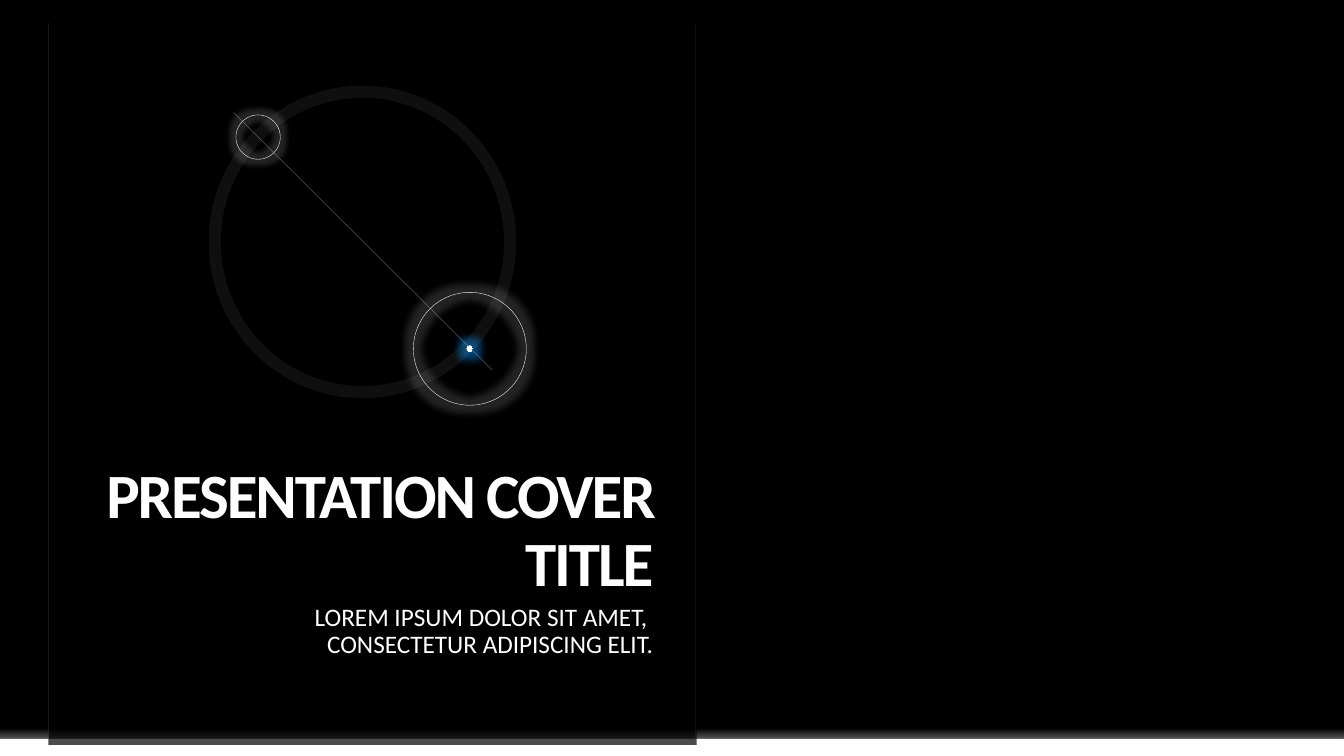
from lxml import etree
from pptx import Presentation
from pptx.dml.color import RGBColor
from pptx.enum import shapes, text
from pptx.oxml.ns import qn
from pptx.util import Inches, Pt

COLORS = {"black": "000000", "white": "FFFFFF", "edge": "F2F2F2", "axis": "E7E6E6",
          "ice": "F7FFFF", "pale_blue": "C1E4FF", "blue": "0078D0"}


def add_element(parent, tag, **attributes):
    return etree.SubElement(parent, qn(tag), {name: str(value) for name, value in attributes.items()})


def add_color(parent, color, alpha=100):
    element = add_element(parent, "a:srgbClr", val=COLORS[color])
    if alpha < 100:
        add_element(element, "a:alpha", val=alpha * 1000)


def paint(fill, color, alpha=100):
    """Give a fill one colour at an opacity in percent."""
    fill.solid()
    fill.fore_color.rgb = RGBColor.from_string(COLORS[color])
    if alpha < 100:
        add_element(fill._xPr.find(f"{qn('a:solidFill')}/{qn('a:srgbClr')}"), "a:alpha", val=alpha * 1000)


def paint_gradient(shape, stops, radial=False):
    """Fill with (position, colour, opacity) stops, downwards or from the centre."""
    shape.fill.gradient()
    gradient = shape._element.spPr.find(qn("a:gradFill"))
    for child in list(gradient):
        gradient.remove(child)
    stop_list = add_element(gradient, "a:gsLst")
    for position, color, alpha in stops:
        add_color(add_element(stop_list, "a:gs", pos=position * 1000), color, alpha)
    if radial:
        center = add_element(gradient, "a:path", path="circle")
        add_element(center, "a:fillToRect", l=50000, t=50000, r=50000, b=50000)
    else:
        add_element(gradient, "a:lin", ang=90 * 60000, scaled=0)


def add_plain_shape(container, kind, left, top, width, height):
    shape = container.shapes.add_shape(kind, *map(Inches, (left, top, width, height)))
    shape.shadow.inherit = False
    shape.fill.background()
    shape.line.fill.background()
    return shape


def add_band(slide, left, top, width, height, color="white", alpha=100):
    band = add_plain_shape(slide, shapes.MSO_SHAPE.RECTANGLE, left, top, width, height)
    paint(band.fill, color, alpha)
    return band


def add_circle(container, left, top, width, height):
    return add_plain_shape(container, shapes.MSO_SHAPE.OVAL, left, top, width, height)


def add_ring(container, left, top, width, height, weight=0.25, alpha=100):
    ring = add_circle(container, left, top, width, height)
    paint(ring.line.fill, "white", alpha)
    ring.line.width = Pt(weight)
    return ring


def add_glow(shape, color, radius, alpha):
    effects = shape._element.spPr.find(qn("a:effectLst"))
    add_color(add_element(effects, "a:glow", rad=Pt(radius)), color, alpha)


def add_line(container, start, end, color, weight, alpha):
    line = container.shapes.add_connector(shapes.MSO_CONNECTOR.STRAIGHT, *map(Inches, start + end))
    paint(line.line.fill, color, alpha)
    line.line.width = Pt(weight)
    add_element(line._element.spPr, "a:effectLst")


def add_backdrop(slide):
    add_band(slide, 0, 7.33, 13.33, 0.17)
    horizon = add_band(slide, 0, 7.16, 13.33, 0.17)
    paint_gradient(horizon, [(40, "white", 0), (100, "white", 35)])
    add_band(slide, 0.48, 4.26, 6.43, 3.13, "black", 70)
    add_band(slide, 0.48, 0.23, 6.43, 4.04, "black", 94)
    for x in (6.9, 0.48):
        add_line(slide, (x, 0.23), (x, 7.33), "edge", 0.25, 15)


def fill_placeholder(slide, placeholder, box, content, anchor, font_values, spacing=0):
    """Place and format a placeholder, in front of the shapes added so far."""
    slide.shapes._spTree.append(placeholder._element)
    for name, value in zip(("left", "top", "width", "height"), box):
        setattr(placeholder, name, Inches(value))
    frame = placeholder.text_frame
    frame.text = content
    frame_values = {"margin_left": 0, "margin_top": 0, "margin_right": 0, "margin_bottom": 0,
                    "word_wrap": True, "auto_size": text.MSO_AUTO_SIZE.NONE, "vertical_anchor": anchor}
    for name, value in frame_values.items():
        setattr(frame, name, value)
    paragraph = frame.paragraphs[0]
    paragraph_values = {"alignment": text.PP_ALIGN.RIGHT, "line_spacing": 0.9, "space_before": Pt(0)}
    for name, value in paragraph_values.items():
        setattr(paragraph, name, value)
    for run in paragraph.runs:
        run.font.color.rgb = RGBColor.from_string(COLORS["white"])
        for name, value in {"name": "Calibri", **font_values}.items():
            setattr(run.font, name, value)
        if spacing:
            run._r.get_or_add_rPr().set("spc", str(int(spacing * 100)))


def add_orbit(slide):
    moon = add_ring(slide, 2.34, 1.14, 0.44, 0.44)
    add_glow(moon, "white", 8, 14)

    planet = slide.shapes.add_group_shape()
    halo = add_ring(planet, 4.1, 2.9, 1.12, 1.12)
    add_glow(halo, "white", 11, 14)
    core = add_circle(planet, 4.63, 3.43, 0.06, 0.06)
    paint_gradient(core, [(0, "white", 100), (65, "ice", 100), (70, "pale_blue", 100)], radial=True)
    add_glow(core, "blue", 11, 55)

    path_group = slide.shapes.add_group_shape()
    add_ring(path_group, 2.13, 0.91, 2.93, 2.98, 8.75, 6)
    add_line(path_group, (2.32, 1.12), (4.88, 3.67), "axis", 0.5, 30)


def main():
    presentation = Presentation()
    presentation.slide_width = Inches(13.33)
    presentation.slide_height = Inches(7.5)
    slide = presentation.slides.add_slide(presentation.slide_layouts[0])
    paint(slide.background.fill, "black")
    add_backdrop(slide)
    fill_placeholder(slide, slide.shapes.title, (0.83, 4.27, 5.65, 1.68),
                     "PRESENTATION COVER TITLE", text.MSO_ANCHOR.BOTTOM,
                     {"size": Pt(45), "bold": True}, spacing=-1.5)
    fill_placeholder(slide, slide.placeholders[1], (0.83, 6, 5.65, 0.76),
                     "LOREM IPSUM DOLOR SIT AMET, \vCONSECTETUR ADIPISCING ELIT.",
                     text.MSO_ANCHOR.TOP, {"size": Pt(18)})
    add_orbit(slide)
    presentation.save("out.pptx")


if __name__ == "__main__":
    main()
